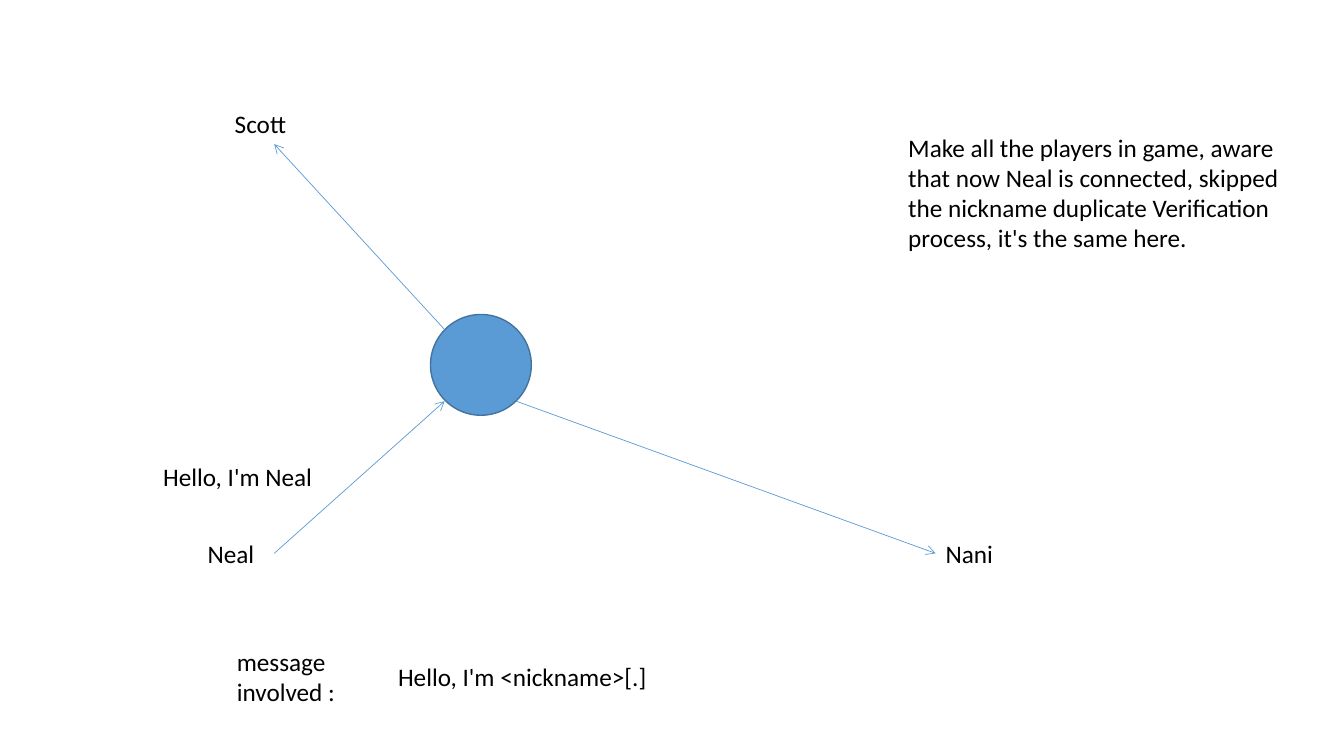
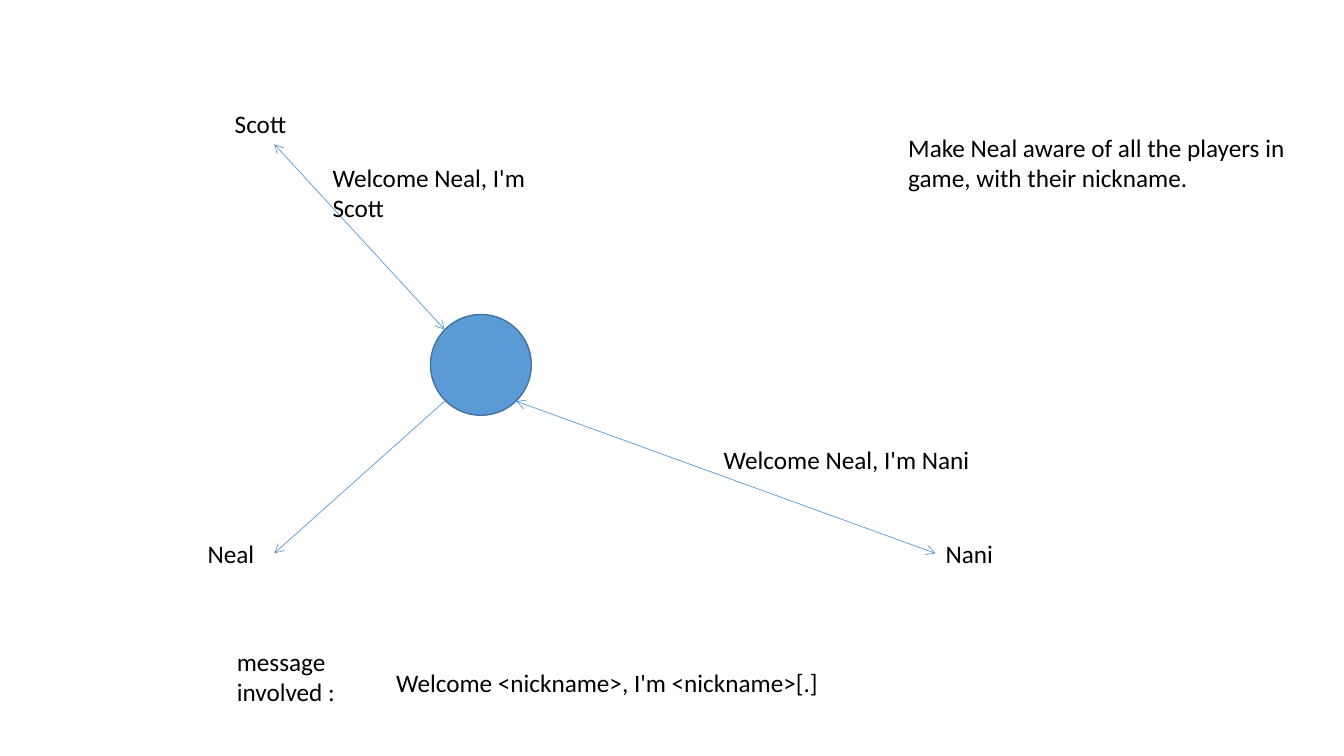
from lxml import etree
from pptx import Presentation
from pptx.dml.color import RGBColor
from pptx.enum.shapes import MSO_CONNECTOR, MSO_SHAPE
from pptx.enum.text import MSO_AUTO_SIZE
from pptx.oxml.ns import qn
from pptx.util import Inches, Pt

STRAIGHT = MSO_CONNECTOR.STRAIGHT
OVAL = MSO_SHAPE.OVAL
GROW = MSO_AUTO_SIZE.SHAPE_TO_FIT_TEXT
BLANK_LAYOUT = 6

COLORS = {"text": "000000", "blue": "5B9BD5", "outline": "43739E"}
FONT = "Calibri"

# Regions of every slide: left, top, width, height
NETWORK = (1.5, 1, 9, 4.7)
NOTE = (8.91, 1.26, 4.06)
MESSAGE = (2.25, 6.36, 1.71, 0.71)

# Network parts, measured from the corner of its region
SERVER = (2.77, 2.12, 1, 1)
PLAYERS = {
    "Scott": {"label": (0.73, 0.03, 0.97, 0.4),
              "server_end": (2.91, 2.27), "player_end": (1.22, 0.43)},
    "Neal": {"label": (0.46, 4.29, 0.75, 0.4),
             "server_end": (2.91, 2.98), "player_end": (1.22, 4.49)},
    "Nani": {"label": (7.78, 4.29, 1.23, 0.4),
             "server_end": (3.62, 2.98), "player_end": (7.78, 4.49)},
}

SLIDES = [
    {
        "note": "Make all the players in game, aware that now Neal is connected, "
                "skipped the nickname duplicate Verification process, "
                "it's the same here.",
        "note_height": 1.92,
        "arrows": {"Scott": "to player", "Neal": "to server", "Nani": "to player"},
        "speech": [("Hello, I'm Neal", (0.02, 3.53, 2.04, 0.4))],
        "message": "Hello, I'm <nickname>[.]",
        "message_box": (1.6, 0.15, 3.56, 0.4),
    },
    {
        "note": "Make Neal aware of all the players in game, with their nickname.",
        "note_height": 1.01,
        "arrows": {"Scott": "both", "Neal": "to player", "Nani": "both"},
        "speech": [("Welcome Neal, I'm Scott", (1.7, 0.56, 2.64, 0.71)),
                   ("Welcome Neal, I'm Nani", (5.58, 3.36, 2.64, 0.71))],
        "message": "Welcome <nickname>, I'm <nickname>[.]",
        "message_box": (1.58, 0.21, 5.92, 0.4),
    },
]


def color(name):
    return RGBColor.from_string(COLORS[name])


def offset(region, part):
    """Move a point or box by the corner of its region."""
    return (region[0] + part[0], region[1] + part[1], *part[2:])


def inches(values):
    return [Inches(value) for value in values]


def add_text(page, box, text, size=18, font=FONT, ink="text"):
    frame = page.shapes.add_textbox(*inches(box)).text_frame
    frame.word_wrap = True
    frame.auto_size = GROW
    frame.text = text
    for para in frame.paragraphs:
        for span in para.runs:
            span.font.size = Pt(size)
            span.font.name = font
            span.font.color.rgb = color(ink)


def add_arrow(page, start, end, direction):
    """Join the server (start) and a player (end)."""
    if direction == "to server":
        start, end = end, start
    arrow = page.shapes.add_connector(STRAIGHT, *inches(start), *inches(end))
    arrow.line.color.rgb = color("blue")
    arrow.line.width = Pt(0.5)
    line = arrow.line._get_or_add_ln()
    tips = ["a:headEnd", "a:tailEnd"] if direction == "both" else ["a:tailEnd"]
    for tip in tips:
        etree.SubElement(line, qn(tip), type="arrow")
    etree.SubElement(arrow._element.spPr, qn("a:effectLst"))


def add_server(page, box):
    server = page.shapes.add_shape(OVAL, *inches(box))
    server.shadow.inherit = False
    server.fill.solid()
    server.fill.fore_color.rgb = color("blue")
    server.line.color.rgb = color("outline")
    server.line.width = Pt(1)


def add_network(page, region, arrows, speech):
    add_server(page, offset(region, SERVER))
    for name, player in PLAYERS.items():
        add_text(page, offset(region, player["label"]), name)
        add_arrow(page, offset(region, player["server_end"]),
                  offset(region, player["player_end"]), arrows[name])
    for text, box in speech:
        add_text(page, offset(region, box), text)


def add_message(page, region, text, box):
    add_text(page, region, "message\ninvolved :")
    add_text(page, offset(region, box), text)


def add_connection_slide(deck, content):
    page = deck.slides.add_slide(deck.slide_layouts[BLANK_LAYOUT])
    add_network(page, NETWORK, content["arrows"], content["speech"])
    add_text(page, (*NOTE, content["note_height"]), content["note"])
    add_message(page, MESSAGE, content["message"], content["message_box"])


deck = Presentation()
deck.slide_width = Inches(13.33)
deck.slide_height = Inches(7.5)
for content in SLIDES:
    add_connection_slide(deck, content)
deck.save("out.pptx")
